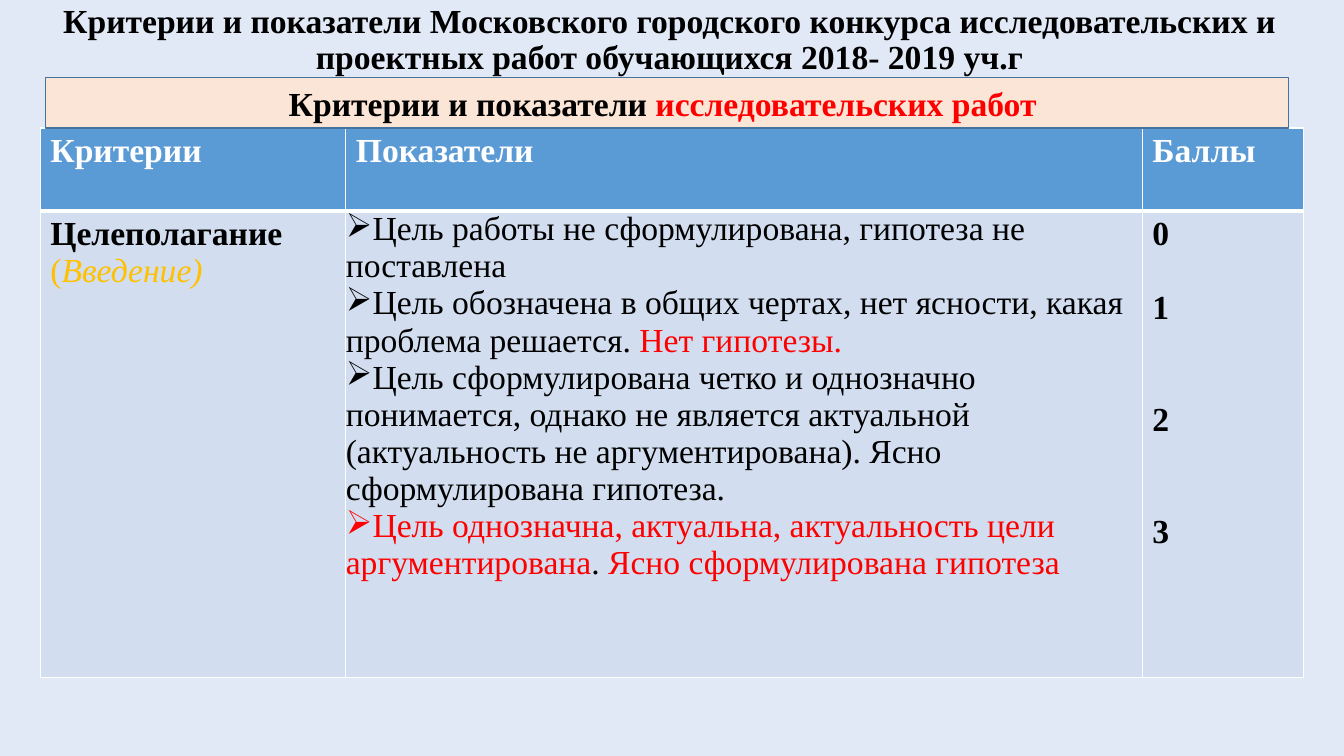
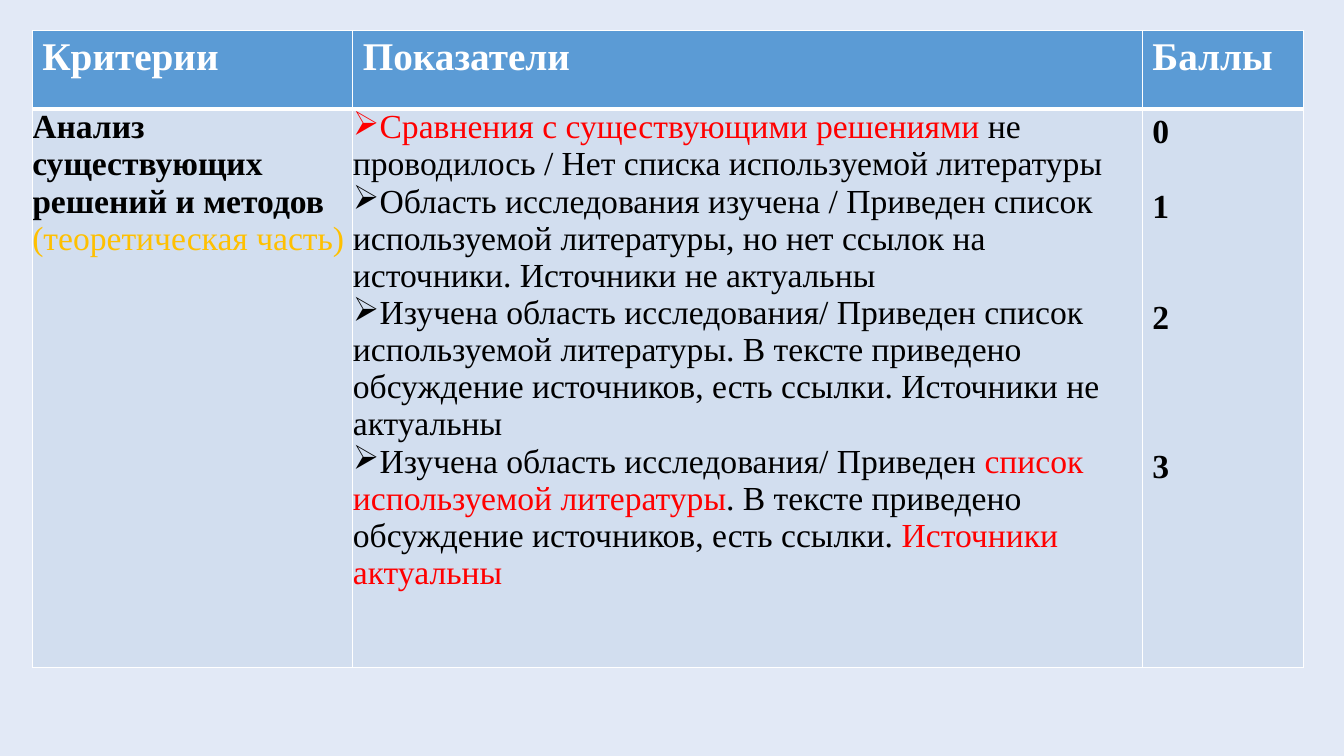
from dataclasses import dataclass
from typing import NamedTuple

from lxml import etree
from pptx import Presentation
from pptx import util as u
from pptx.dml.color import RGBColor
from pptx.enum import shapes, text
from pptx.oxml import ns


@dataclass(frozen=True)
class Theme:
    font: str = "Times New Roman"
    background: str = "E2E9F6"
    header: str = "5B9BD5"
    body: str = "D2DEEF"
    band: str = "FBE5D6"
    band_line: str = "43739E"
    white: str = "FFFFFF"
    black: str = "000000"
    red: str = "FF0000"
    gold: str = "FFC000"
    size: int = 24
    line_pitch: float = 26.6
    thin: float = 1
    thick: float = 3


THEME = Theme()


class Span(NamedTuple):
    text: str
    color: str = THEME.black
    bold: bool = False
    italic: bool = False
    size: int = THEME.size


class Box(NamedTuple):
    left: float
    top: float
    width: float
    height: float

    def lengths(self) -> list:
        return [u.Inches(value) for value in self]


Line = list[Span]


@dataclass(frozen=True)
class Rubric:
    """One criterion with its indicators; blank_lines separate the scores."""
    box: Box
    columns: tuple[float, ...]
    header_height: float
    header_size: int
    criterion: list[Line]
    criterion_flush: bool
    indicators: list[Line]
    blank_lines: tuple[int, ...]


HEADERS = ("Критерии", "Показатели", "Баллы")

GOALS = Rubric(
    box=Box(0.4, 1.27, 12.53, 5.45),
    columns=(3.03, 7.9, 1.6),
    header_height=0.82,
    header_size=24,
    criterion=[
        [Span("Целеполагание", bold=True)],
        [Span("(", THEME.gold), Span("Введение)", THEME.gold, italic=True)],
    ],
    criterion_flush=False,
    indicators=[
        [Span("Цель работы не сформулирована, гипотеза не поставлена")],
        [Span("Цель обозначена в общих чертах, нет ясности, какая проблема решается. "),
         Span("Нет гипотезы.", THEME.red)],
        [Span("Цель сформулирована четко и однозначно понимается, однако не является "
              "актуальной (актуальность не аргументирована). Ясно сформулирована гипотеза.")],
        [Span("Цель однозначна, актуальна, актуальность цели аргументирована", THEME.red),
         Span(". "),
         Span("Ясно сформулирована гипотеза", THEME.red)],
    ],
    blank_lines=(0, 1, 2, 2),
)

ANALYSIS = Rubric(
    box=Box(0.32, 0.3, 12.61, 6.32),
    columns=(3.18, 7.83, 1.6),
    header_height=0.78,
    header_size=28,
    criterion=[
        [Span("Анализ существующих решений и методов", bold=True)],
        [Span("(теоретическая часть)", THEME.gold)],
    ],
    criterion_flush=True,
    indicators=[
        [Span("Сравнения с существующими решениями ", THEME.red),
         Span("не проводилось / Нет списка используемой литературы")],
        [Span("Область исследования изучена / Приведен список используемой литературы, "
              "но нет ссылок на источники. Источники не актуальны")],
        [Span("Изучена область исследования/ Приведен список используемой литературы. "
              "В тексте приведено обсуждение источников, есть ссылки. Источники не актуальны")],
        [Span("Изучена область исследования/ Приведен "),
         Span("список используемой литературы", THEME.red),
         Span(". В тексте приведено обсуждение источников, есть ссылки. "),
         Span("Источники актуальны", THEME.red)],
    ],
    blank_lines=(0, 1, 2, 3),
)


def rgb(color: str) -> RGBColor:
    return RGBColor.from_string(color)


def paint(target, color: str) -> None:
    target.fill.solid()
    target.fill.fore_color.rgb = rgb(color)


def add_bullet(paragraph) -> None:
    properties = paragraph._p.get_or_add_pPr()
    properties.set("marL", "0")
    properties.set("indent", "0")
    etree.SubElement(properties, ns.qn("a:buChar")).set("char", "➢")


def write(frame, lines: list[Line], align=text.PP_ALIGN.LEFT, bullets: bool = False) -> list:
    """Fill a text frame and return its paragraphs."""
    frame.word_wrap = True
    for index, line in enumerate(lines):
        paragraph = frame.add_paragraph() if index else frame.paragraphs[0]
        paragraph.alignment = align
        if bullets:
            add_bullet(paragraph)
        for span in line:
            run = paragraph.add_run()
            run.text = span.text
            run.font.name = THEME.font
            run.font.size = u.Pt(span.size)
            run.font.bold = span.bold
            run.font.italic = span.italic
            run.font.color.rgb = rgb(span.color)
    return list(frame.paragraphs)


def set_borders(cell, top: float, bottom: float) -> None:
    properties = cell._tc.get_or_add_tcPr()
    widths = {"lnL": THEME.thin, "lnR": THEME.thin, "lnT": top, "lnB": bottom}
    for index, (side, width) in enumerate(widths.items()):
        line = etree.Element(ns.qn(f"a:{side}"), w=str(u.Pt(width)))
        fill = etree.SubElement(line, ns.qn("a:solidFill"))
        etree.SubElement(fill, ns.qn("a:srgbClr")).set("val", THEME.white)
        properties.insert(index, line)


def remove_margins(cell) -> None:
    cell.margin_left = cell.margin_right = cell.margin_top = cell.margin_bottom = 0


def add_rubric(slide, rubric: Rubric) -> None:
    table = slide.shapes.add_table(2, len(HEADERS), *rubric.box.lengths()).table
    table.horz_banding = False
    for column, width in zip(table.columns, rubric.columns):
        column.width = u.Inches(width)
    table.rows[0].height = u.Inches(rubric.header_height)
    table.rows[1].height = u.Inches(rubric.box.height - rubric.header_height)

    for index, label in enumerate(HEADERS):
        header, body = table.cell(0, index), table.cell(1, index)
        write(header.text_frame,
              [[Span(label, THEME.white, bold=True, size=rubric.header_size)]])
        paint(header, THEME.header)
        paint(body, THEME.body)
        set_borders(header, THEME.thin, THEME.thick)
        set_borders(body, THEME.thick, THEME.thin)

    criterion, indicators, scores = table.rows[1].cells
    if rubric.criterion_flush:
        remove_margins(criterion)
    write(criterion.text_frame, rubric.criterion)
    remove_margins(indicators)
    write(indicators.text_frame, rubric.indicators, bullets=True)
    points = [[Span(str(score), bold=True)] for score in range(len(rubric.blank_lines))]
    paragraphs = write(scores.text_frame, points)
    for paragraph, blanks in zip(paragraphs, rubric.blank_lines):
        if blanks:
            paragraph.space_before = u.Pt(blanks * THEME.line_pitch)


def add_title(slide, title: str) -> None:
    shape = slide.shapes.add_textbox(*Box(0.21, 0, 12.86, 0.8).lengths())
    shape.text_frame.vertical_anchor = text.MSO_ANCHOR.MIDDLE
    [paragraph] = write(shape.text_frame, [[Span(title, bold=True)]], text.PP_ALIGN.CENTER)
    paragraph.line_spacing = 0.9


def add_band(slide, line: Line) -> None:
    shape = slide.shapes.add_shape(shapes.MSO_SHAPE.RECTANGLE,
                                   *Box(0.45, 0.77, 12.33, 0.5).lengths())
    shape.shadow.inherit = False
    paint(shape, THEME.band)
    shape.line.color.rgb = rgb(THEME.band_line)
    shape.line.width = u.Pt(THEME.thin)
    shape.text_frame.vertical_anchor = text.MSO_ANCHOR.MIDDLE
    write(shape.text_frame, [line], text.PP_ALIGN.CENTER)


def add_slide(presentation):
    slide = presentation.slides.add_slide(presentation.slide_layouts[6])
    paint(slide.background, THEME.background)
    return slide


def main() -> None:
    presentation = Presentation()
    presentation.slide_width = u.Inches(13.33)
    presentation.slide_height = u.Inches(7.5)

    goals_slide = add_slide(presentation)
    add_title(goals_slide, "Критерии и показатели Московского городского конкурса "
                           "исследовательских и проектных работ обучающихся 2018- 2019 уч.г")
    add_rubric(goals_slide, GOALS)
    add_band(goals_slide, [Span("Критерии и показатели ", bold=True),
                           Span("исследовательских работ ", THEME.red, bold=True)])

    add_rubric(add_slide(presentation), ANALYSIS)
    presentation.save("out.pptx")


if __name__ == "__main__":
    main()
